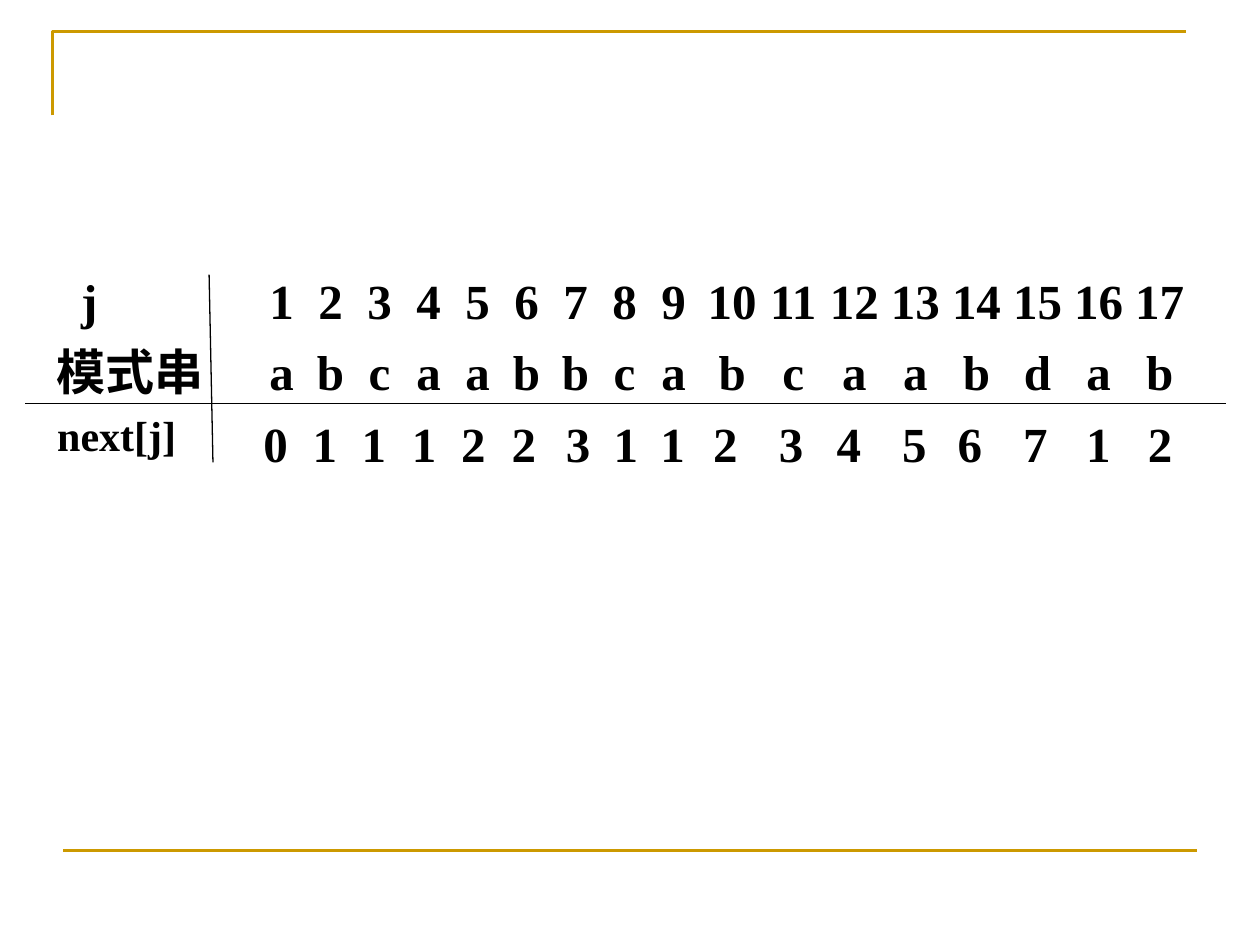
from lxml import etree
from pptx import Presentation
from pptx.dml.color import RGBColor
from pptx.enum.shapes import MSO_CONNECTOR
from pptx.enum.text import MSO_AUTO_SIZE
from pptx.oxml.ns import qn
from pptx.util import Pt

STRAIGHT = MSO_CONNECTOR.STRAIGHT
GROW = MSO_AUTO_SIZE.SHAPE_TO_FIT_TEXT
NO_RESIZE = MSO_AUTO_SIZE.NONE

INK = "000000"
GOLD = "CC9900"

# Column centres: nine narrow columns, then eight wider ones.
COLUMNS = [161 + 28 * i for i in range(9)] + [418.5 + 34.9 * i for i in range(8)]
ROWS_LEFT, ROWS_INSET, J_INDENT = 25.2, 7.2, 14
POSITIONS = [str(j) for j in range(1, 18)]
PATTERN = "abcaabbcabcaabdab"
NEXT_VALUES = "01112231123456712"
NEXT_LEFTS = [150.5, 178.6, 206.6, 235.4, 263.5, 292.3, 323.3, 350.6, 377.3,
              407.5, 445, 478.1, 515.5, 547.2, 584.6, 620.6, 655.9]


def color(value):
    return RGBColor.from_string(value)


class SlideBuilder:
    font = "Times New Roman"

    def __init__(self, slide):
        self.slide = slide

    def line(self, start, end, stroke, width):
        connector = self.slide.shapes.add_connector(
            STRAIGHT, *(Pt(value) for value in (*start, *end)))
        connector.line.color.rgb = color(stroke)
        connector.line.width = Pt(width)
        etree.SubElement(connector._element.spPr, qn("a:effectLst"))

    def open_path(self, points, stroke, width):
        corners = [(Pt(x), Pt(y)) for x, y in points]
        builder = self.slide.shapes.build_freeform(*corners[0])
        builder.add_line_segments(corners[1:], close=False)
        outline = builder.convert_to_shape()
        outline.shadow.inherit = False
        outline.fill.background()
        outline.line.color.rgb = color(stroke)
        outline.line.width = Pt(width)

    def text(self, box, lines, size, inset=(0, 0), wrap=False, tabs=(), gap=0):
        """Add one paragraph per line; tabs are (position, alignment) pairs."""
        frame = self.slide.shapes.add_textbox(*(Pt(v) for v in box)).text_frame
        frame.margin_left = frame.margin_right = Pt(inset[0])
        frame.margin_top = frame.margin_bottom = Pt(inset[1])
        frame.word_wrap = wrap
        frame.auto_size = NO_RESIZE if wrap else GROW
        for index, content in enumerate(lines):
            paragraph = frame.paragraphs[0] if index == 0 else frame.add_paragraph()
            if tabs:
                self.tab_stops(paragraph, tabs)
            if index:
                paragraph.space_before = Pt(gap)
            run = paragraph.add_run()
            run.text = content
            run.font.name = self.font
            run.font.size = Pt(size)
            run.font.bold = True
            run.font.color.rgb = color(INK)

    def tab_stops(self, paragraph, tabs):
        properties = paragraph._p.get_or_add_pPr()
        stops = etree.SubElement(properties, qn("a:tabLst"))
        for position, alignment in tabs:
            etree.SubElement(stops, qn("a:tab"),
                             pos=str(int(Pt(position))), algn=alignment)


def main():
    presentation = Presentation()
    presentation.slide_width, presentation.slide_height = Pt(720), Pt(540)
    blank = presentation.slide_layouts[6]
    page = SlideBuilder(presentation.slides.add_slide(blank))

    page.open_path([(30, 66), (30, 18), (678, 18)], GOLD, 1.5)
    page.line((36, 486), (684, 486), GOLD, 1.5)

    text_start = ROWS_LEFT + ROWS_INSET
    tabs = [(J_INDENT, "l")] + [(x - text_start, "ctr") for x in COLUMNS]
    rows = ["\t".join(["", "j", *POSITIONS]), "\t".join(["模式串", *PATTERN])]
    page.text((ROWS_LEFT, 151.2, 669, 85), rows, 28,
              inset=(ROWS_INSET, 3.6), wrap=True, tabs=tabs, gap=7)

    page.text((25.6, 230.4, 90, 36), ["next[j]"], 24, inset=(7.2, 3.6), wrap=True)
    page.line((14.4, 230.4), (700.6, 230.4), INK, 0.75)
    page.line((121.7, 264.2), (119.5, 157), INK, 0.75)
    for left, value in zip(NEXT_LEFTS, NEXT_VALUES):
        page.text((left, 236.2, 13.7, 33.8), [value], 28)

    presentation.save("out.pptx")


if __name__ == "__main__":
    main()
